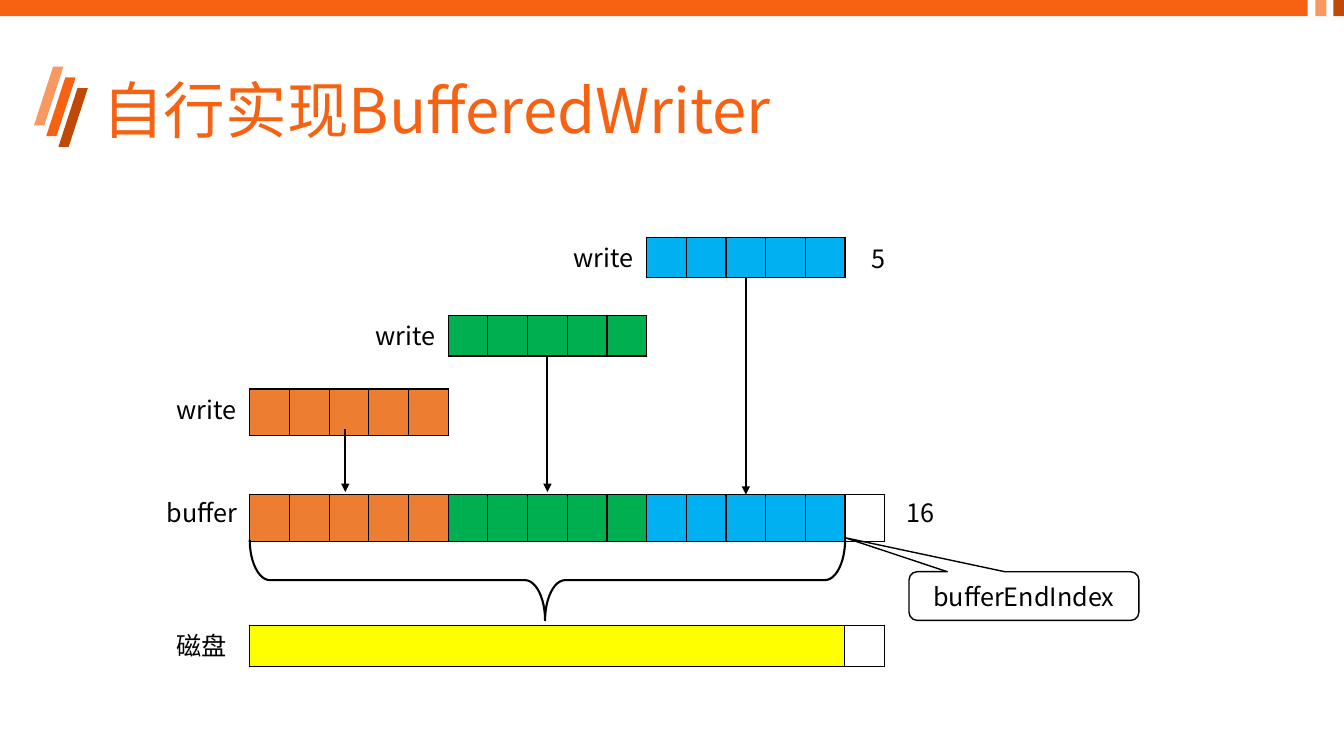
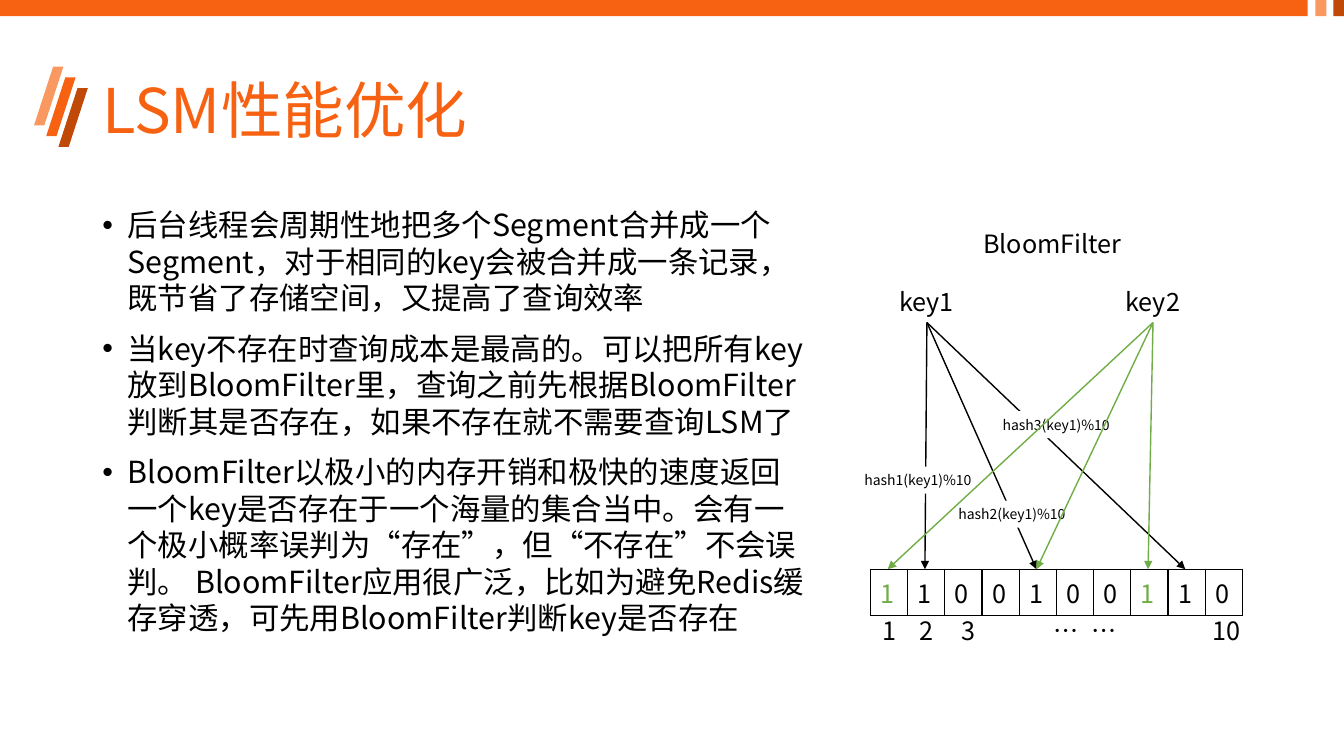
from lxml import etree
from pptx import Presentation
from pptx.dml.color import RGBColor
from pptx.enum.shapes import MSO_CONNECTOR, MSO_SHAPE
from pptx.enum.text import MSO_ANCHOR, PP_ALIGN
from pptx.oxml.ns import qn
from pptx.util import Pt

STRAIGHT = MSO_CONNECTOR.STRAIGHT
RECTANGLE = MSO_SHAPE.RECTANGLE
PARALLELOGRAM = MSO_SHAPE.PARALLELOGRAM
RIGHT_BRACE = MSO_SHAPE.RIGHT_BRACE
CALLOUT = MSO_SHAPE.ROUNDED_RECTANGULAR_CALLOUT
MIDDLE = MSO_ANCHOR.MIDDLE
CENTER = PP_ALIGN.CENTER

FONT = "Noto Sans CJK SC"
BLACK = RGBColor(0x00, 0x00, 0x00)
WHITE = RGBColor(0xFF, 0xFF, 0xFF)
ORANGE = RGBColor(0xF7, 0x62, 0x12)
LIGHT_ORANGE = RGBColor(0xFA, 0x98, 0x62)
DARK_ORANGE = RGBColor(0xC1, 0x49, 0x07)
CELL_ORANGE = RGBColor(0xED, 0x7D, 0x31)
CELL_GREEN = RGBColor(0x00, 0xB0, 0x50)
CELL_BLUE = RGBColor(0x00, 0xB0, 0xF0)
YELLOW = RGBColor(0xFF, 0xFF, 0x00)
HASH_GREEN = RGBColor(0x70, 0xAD, 0x47)

LABEL_HEIGHT = 29
BULLETS = [
    "后台线程会周期性地把多个Segment合并成一个Segment，对于相同的key会被合并成一条记录，既节省了存储空间，又提高了查询效率",
    "当key不存在时查询成本是最高的。可以把所有key放到BloomFilter里，查询之前先根据BloomFilter判断其是否存在，如果不存在就不需要查询LSM了",
    "BloomFilter以极小的内存开销和极快的速度返回一个key是否存在于一个海量的集合当中。会有一个极小概率误判为“存在”，但“不存在”不会误判。 BloomFilter应用很广泛，比如为避免Redis缓存穿透，可先用BloomFilter判断key是否存在",
]


def points(*lengths):
    return [Pt(length) for length in lengths]


def style(para, size, color):
    para.font.size = Pt(size)
    para.font.color.rgb = color
    para.font.name = FONT
    properties = para.font._element
    etree.SubElement(properties, qn("a:ea"), typeface=FONT)


def write_text(frame, text, size=18, color=BLACK):
    para = frame.paragraphs[0]
    para.text = text
    style(para, size, color)
    return para


def add_label(page, text, left, top, width, height=LABEL_HEIGHT, wrap=False):
    box = page.shapes.add_textbox(*points(left, top, width, height))
    box.text_frame.word_wrap = wrap
    write_text(box.text_frame, text)
    return box


def add_figure(page, kind, left, top, width, height, fill=None, line=None, weight=1):
    figure = page.shapes.add_shape(kind, *points(left, top, width, height))
    figure.shadow.inherit = False
    if fill is None:
        figure.fill.background()
    else:
        figure.fill.solid()
        figure.fill.fore_color.rgb = fill
    if line is None:
        figure.line.fill.background()
    else:
        figure.line.color.rgb = line
        figure.line.width = Pt(weight)
    return figure


def add_arrow(page, start, end, color=BLACK, weight=1):
    arrow = page.shapes.add_connector(STRAIGHT, *points(*start, *end))
    arrow.line.color.rgb = color
    arrow.line.width = Pt(weight)
    line = arrow.line._get_or_add_ln()
    etree.SubElement(line, qn("a:tailEnd"), type="triangle")
    etree.SubElement(arrow._element.spPr, qn("a:effectLst"))


def set_borders(cell):
    properties = cell._tc.get_or_add_tcPr()
    for index, side in enumerate(("lnL", "lnR", "lnT", "lnB")):
        border = etree.Element(qn(f"a:{side}"), w=str(Pt(1)))
        fill = etree.SubElement(border, qn("a:solidFill"))
        etree.SubElement(fill, qn("a:srgbClr"), val=str(BLACK))
        properties.insert(index, border)


def add_row(page, left, top, height, widths, fills):
    frame = page.shapes.add_table(
        1, len(widths), *points(left, top, sum(widths), height)
    )
    table = frame.table
    table.first_row = False
    table.horz_banding = False
    for column, width, cell, fill in zip(
        table.columns, widths, table.rows[0].cells, fills
    ):
        column.width = Pt(width)
        cell.fill.solid()
        cell.fill.fore_color.rgb = fill
        cell.margin_top = cell.margin_bottom = 0
        set_borders(cell)
    return table


def add_frame(page, title):
    for left, width, color in (
        (0, 934.1, ORANGE), (939.6, 7.9, LIGHT_ORANGE), (952.4, 7.6, DARK_ORANGE)
    ):
        add_figure(page, RECTANGLE, left, 0, width, 11.5, color)
    for left, top, color in (
        (33, 55.3, ORANGE), (24.3, 47.6, LIGHT_ORANGE), (41.7, 63, DARK_ORANGE)
    ):
        slash = add_figure(page, PARALLELOGRAM, left, top, 21, 42, color)
        slash.adjustments[0] = 0.65
    box = page.shapes.add_textbox(*points(66, 28.8, 828, 104.4))
    box.text_frame.word_wrap = True
    box.text_frame.vertical_anchor = MIDDLE
    write_text(box.text_frame, title, 44, ORANGE).line_spacing = 0.9


def add_buffer_diagram(page, left, top):
    cell, group, buffer_top, disk_top = 28.35, 5, 184.1, 277.4
    span = cell * group
    colors = (CELL_ORANGE, CELL_GREEN, CELL_BLUE)
    full = span * len(colors)

    writes = ((108.7, 33.1, 137.5, 182.2, -2.6), (56.3, 28.8, 85, 182.2, 0),
              (0.3, 28.8, 28.8, buffer_top, 0))
    for index, (row_top, height, start, end, shift) in enumerate(writes):
        row_left = left + index * span
        add_row(page, row_left, top + row_top, height, [cell] * group,
                [colors[index]] * group)
        add_label(page, "write", row_left - 59.2, top + row_top, 59.8)
        center = row_left + span / 2 + shift
        add_arrow(page, (center, top + start), (center, top + end), weight=1.5)

    fills = [color for color in colors for _ in range(group)] + [WHITE]
    add_row(page, left, top + buffer_top, 33.5, [cell] * len(fills), fills)
    add_row(page, left - 0.2, top + disk_top, 29.3, [full, cell], [YELLOW, WHITE])

    for text, x, y, width in (
        ("buffer", -66.2, 182.2, 67.7), ("磁盘", -59.7, disk_top, 51),
        ("5", 437.1, 0.7, 25), ("16", 462.1, 182.2, 35)
    ):
        add_label(page, text, left + x, top + y, width)

    depth, tip_shift = 57.6, 1.7
    brace = add_figure(page, RIGHT_BRACE, left + (full - depth) / 2,
                       top + 245.2 - full / 2, depth, full, line=BLACK, weight=1.5)
    brace.rotation = 90
    brace.adjustments[0] = 0.25
    brace.adjustments[1] = 0.5 + tip_shift / full

    callout = add_figure(page, CALLOUT, left + 470.9, top + 239.2, 164.2, 34.8,
                         WHITE, BLACK)
    for index, value in enumerate((-0.78, -1.2, 0.17)):
        callout.adjustments[index] = value
    callout.text_frame.vertical_anchor = MIDDLE
    write_text(callout.text_frame, "bufferEndIndex").alignment = CENTER


def add_bullets(page, left, top, width, height):
    box = page.shapes.add_textbox(*points(left, top, width, height))
    frame = box.text_frame
    frame.word_wrap = True
    for index, text in enumerate(BULLETS):
        para = frame.add_paragraph() if index else frame.paragraphs[0]
        para.text = text
        properties = para._p.get_or_add_pPr()
        properties.set("marL", str(Pt(18)))
        properties.set("indent", str(Pt(-18)))
        etree.SubElement(properties, qn("a:buFont"), typeface="Arial")
        etree.SubElement(properties, qn("a:buChar"), char="•")
        para.line_spacing = 1.0
        para.space_before = Pt(10 if index else 0)
        style(para, 21.7, BLACK)


def add_index_labels(page, left, top):
    box = page.shapes.add_textbox(*points(left, top, 275, LABEL_HEIGHT))
    box.text_frame.word_wrap = True
    properties = box.text_frame.paragraphs[0]._p.get_or_add_pPr()
    stops = etree.SubElement(properties, qn("a:tabLst"))
    for position in (31.2, 61, 130.7, 157.9, 245.6):
        etree.SubElement(stops, qn("a:tab"), pos=str(Pt(position)), algn="ctr")
    write_text(box.text_frame, "1\t2\t3\t…\t…\t10")


def add_bloom_filter(page, left, top):
    cell, row_top, bits = 26.57, top + 247.5, "1100100110"
    green_bits = (0, 7)
    add_label(page, "BloomFilter", left + 73.4, top + 0.2, 118.8, wrap=True)

    table = add_row(page, left, row_top, 33.1, [cell] * len(bits),
                    [WHITE] * len(bits))
    for index, bit in enumerate(bits):
        target = table.cell(0, index)
        target.margin_top = target.margin_bottom = Pt(3.6)
        color = HASH_GREEN if index in green_bits else BLACK
        write_text(target.text_frame, bit, color=color)

    def add_key(name, x, columns, color):
        add_label(page, name, left + x - 26.7, top + 41.8, 53.3)
        for column in columns:
            end = left + (column + 0.5) * cell - 1
            add_arrow(page, (left + x, top + 71.3), (end, row_top), color)

    add_key("key1", 40.3, (1, 4, 8), BLACK)
    for number, x, y in ((1, -11.8, 174.2), (2, 55.3, 198.5), (3, 86.9, 134.6)):
        label = add_figure(page, RECTANGLE, left + x, top + y, 91.4, 19.4, WHITE)
        label.text_frame.word_wrap = False
        write_text(label.text_frame, f"hash{number}(key1)%10", 10).alignment = CENTER
    add_key("key2", 201.8, (0, 4, 7), HASH_GREEN)

    add_index_labels(page, left + 1.6, top + 277.2)


def main():
    deck = Presentation()
    deck.slide_width, deck.slide_height = points(960, 540)
    blank = deck.slide_layouts[6]

    page = deck.slides.add_slide(blank)
    add_frame(page, "自行实现BufferedWriter")
    add_buffer_diagram(page, 178.4, 169.2)

    page = deck.slides.add_slide(blank)
    add_frame(page, "LSM性能优化")
    add_bullets(page, 66, 144, 518.4, 352)
    add_bloom_filter(page, 621.8, 159.1)

    deck.save("out.pptx")


if __name__ == "__main__":
    main()
